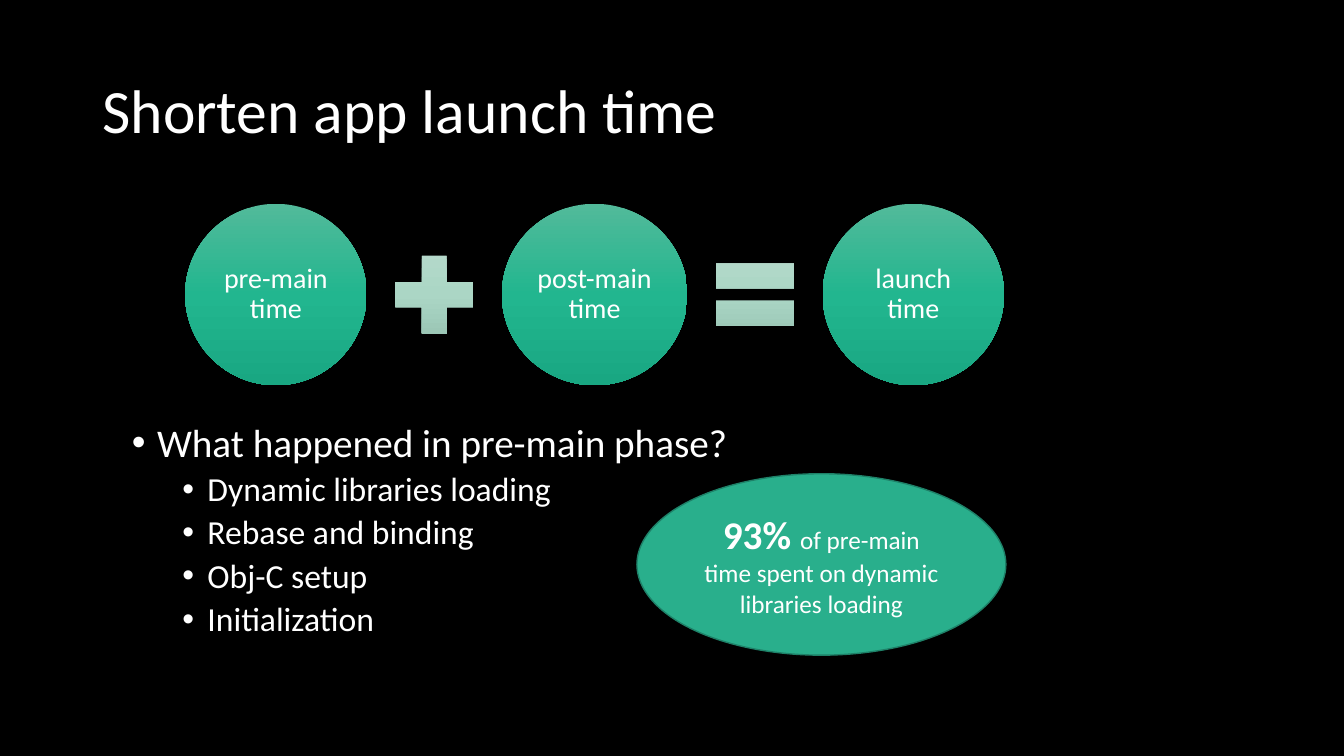
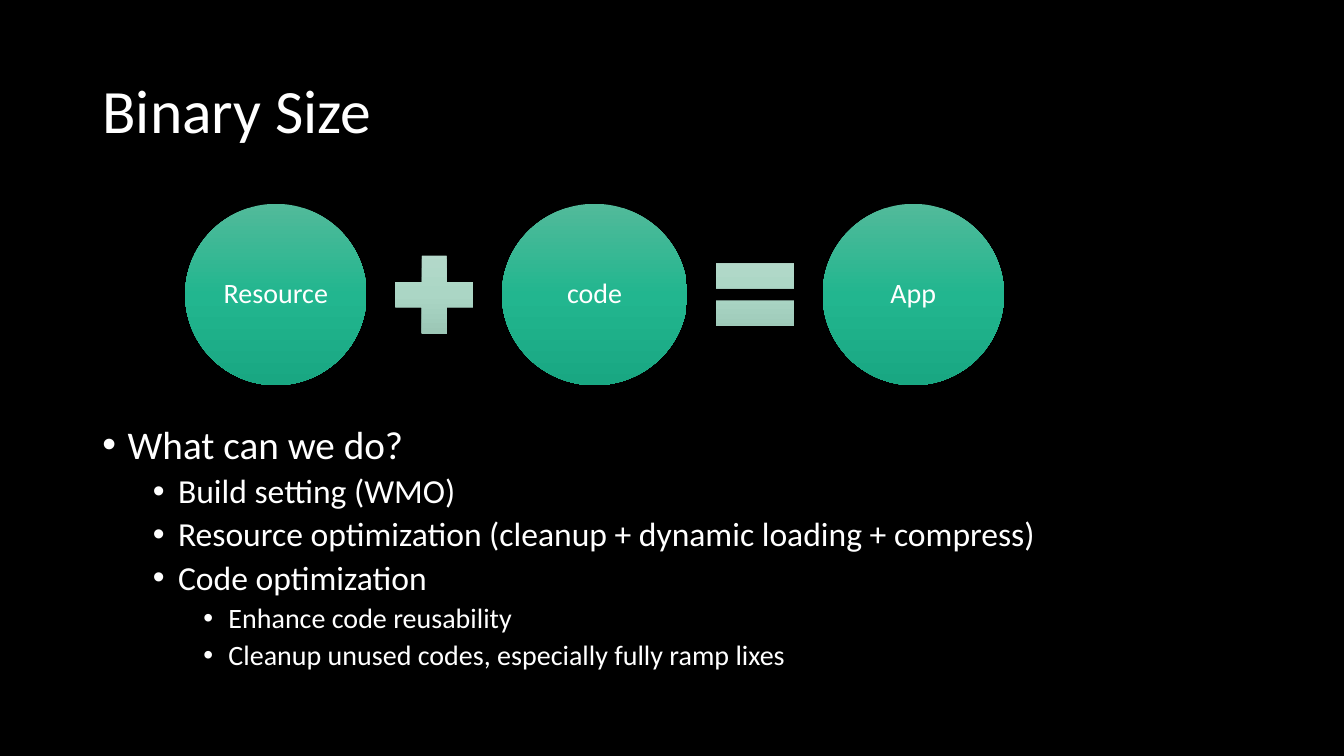
from copy import deepcopy

from pptx import Presentation
from pptx.dml.color import RGBColor
from pptx.enum.shapes import MSO_SHAPE
from pptx.enum.text import MSO_ANCHOR, MSO_AUTO_SIZE, PP_ALIGN
from pptx.oxml.ns import qn
from pptx.util import Pt

OVAL, PLUS, EQUAL = MSO_SHAPE.OVAL, MSO_SHAPE.MATH_PLUS, MSO_SHAPE.MATH_EQUAL
LEFT, CENTER = PP_ALIGN.LEFT, PP_ALIGN.CENTER
MIDDLE, TOP = MSO_ANCHOR.MIDDLE, MSO_ANCHOR.TOP
NO_FIT = MSO_AUTO_SIZE.NONE

BLACK = RGBColor(0x00, 0x00, 0x00)
WHITE = RGBColor(0xFF, 0xFF, 0xFF)
GREEN = RGBColor(0x29, 0xAF, 0x8C)
DARK_GREEN = RGBColor(0x1E, 0x81, 0x68)
CIRCLE_STOPS = (RGBColor(0x52, 0xBA, 0x9A), RGBColor(0x22, 0xB6, 0x8F), RGBColor(0x19, 0xA7, 0x82))
SIGN_STOPS = (RGBColor(0xB7, 0xDA, 0xCC), RGBColor(0xAB, 0xD6, 0xC5), RGBColor(0x95, 0xC1, 0xB0))

FONT = "Calibri"
LEVEL_SIZES = (28, 24, 20)
EQ_LEFT, EQ_MIDDLE, EQ_GAP = 132.3, 210.4, 10.5
CIRCLE, MID_CIRCLE, SIGN = 129.6, 132.5, 75.6

# Title, circle labels, list box, list items as (level, text)
SLIDES = [
    ("Shorten app launch time",
     ("pre-main time", "post-main time", "launch time"),
     (87, 298.8, 735, 169.2),
     [(0, "What happened in pre-main phase?"),
      (1, "Dynamic libraries loading"),
      (1, "Rebase and binding"),
      (1, "Obj-C setup"),
      (1, "Initialization")]),
    ("Binary Size",
     ("Resource", "code", "App"),
     (66, 300.2, 828, 185.8),
     [(0, "What can we do?"),
      (1, "Build setting (WMO)"),
      (1, "Resource optimization (cleanup + dynamic loading + compress)"),
      (1, "Code optimization"),
      (2, "Enhance code reusability"),
      (2, "Cleanup unused codes, especially fully ramp lixes")]),
]


def add_text(p, text, size, bold=False, align=LEFT, spacing=0.9, before=0):
    p.alignment, p.line_spacing, p.space_before = align, spacing, Pt(before)
    r = p.add_run()
    r.text = text
    r.font.name, r.font.size, r.font.bold = FONT, Pt(size), bold
    r.font.color.rgb = WHITE


def add_gradient_shape(s, kind, x, y, w, h, stops):
    sp = s.shapes.add_shape(kind, Pt(x), Pt(y), Pt(w), Pt(h))
    sp.shadow.inherit = False
    sp.line.fill.background()
    sp.fill.gradient()
    sp.fill.gradient_angle = 270
    gs_list = sp._element.spPr.find(qn("a:gradFill")).find(qn("a:gsLst"))
    gs_list.append(deepcopy(gs_list[-1]))
    for stop, color, position in zip(sp.fill.gradient_stops, stops, (0, 0.5, 1)):
        stop.color.rgb, stop.position = color, position
    return sp


prs = Presentation()
prs.slide_width, prs.slide_height = Pt(960), Pt(540)

# Shared background and title position
master = prs.slide_master
master.background.fill.solid()
master.background.fill.fore_color.rgb = BLACK
title = master.placeholders[0]
title.left, title.top, title.width, title.height = Pt(66), Pt(28.8), Pt(828), Pt(104.4)

for heading, labels, box, items in SLIDES:
    s = prs.slides.add_slide(prs.slide_layouts[1])

    # Title
    tf = s.shapes.title.text_frame
    tf.vertical_anchor, tf.auto_size = MIDDLE, NO_FIT
    add_text(tf.paragraphs[0], heading, 44)

    # Bulleted list
    body = s.placeholders[1]
    body.left, body.top, body.width, body.height = [Pt(v) for v in box]
    tf = body.text_frame
    tf.vertical_anchor, tf.auto_size = TOP, NO_FIT
    for i, (level, text) in enumerate(items):
        p = tf.add_paragraph() if i else tf.paragraphs[0]
        p.level = level
        add_text(p, text, LEVEL_SIZES[level], before=5 if level else 10)
        pPr = p._p.get_or_add_pPr()
        pPr.set("marL", str(Pt(18 + 36 * level)))
        pPr.set("indent", str(-Pt(18)))
        pPr.makeelement(qn("a:buFont"))
        for tag, key, value in (("a:buFont", "typeface", "Arial"), ("a:buChar", "char", "•")):
            pPr.append(pPr.makeelement(qn(tag), {key: value}))

    # Equation: circle + circle = circle
    x = EQ_LEFT
    for kind, w, label in ((OVAL, CIRCLE, labels[0]), (PLUS, SIGN, None),
                           (OVAL, MID_CIRCLE, labels[1]), (EQUAL, SIGN, None),
                           (OVAL, CIRCLE, labels[2])):
        h = CIRCLE if label else SIGN
        stops = CIRCLE_STOPS if label else SIGN_STOPS
        sp = add_gradient_shape(s, kind, x, EQ_MIDDLE - h / 2, w, h, stops)
        if label:
            tf = sp.text_frame
            tf.word_wrap, tf.vertical_anchor = True, MIDDLE
            tf.margin_left = tf.margin_right = tf.margin_top = tf.margin_bottom = Pt(2)
            add_text(tf.paragraphs[0], label, 20, align=CENTER)
        x += w + EQ_GAP

# Callout on the first slide
sp = prs.slides[0].shapes.add_shape(OVAL, Pt(455), Pt(338.4), Pt(263.5), Pt(129.6))
sp.shadow.inherit = False
sp.fill.solid()
sp.fill.fore_color.rgb = GREEN
sp.line.color.rgb, sp.line.width = DARK_GREEN, Pt(1)
tf = sp.text_frame
tf.word_wrap, tf.vertical_anchor = True, MIDDLE
p = tf.paragraphs[0]
add_text(p, "93% ", 28, bold=True, align=CENTER, spacing=1.0)
add_text(p, "of pre-main time spent on dynamic libraries loading", 18, align=CENTER, spacing=1.0)

prs.save("out.pptx")
